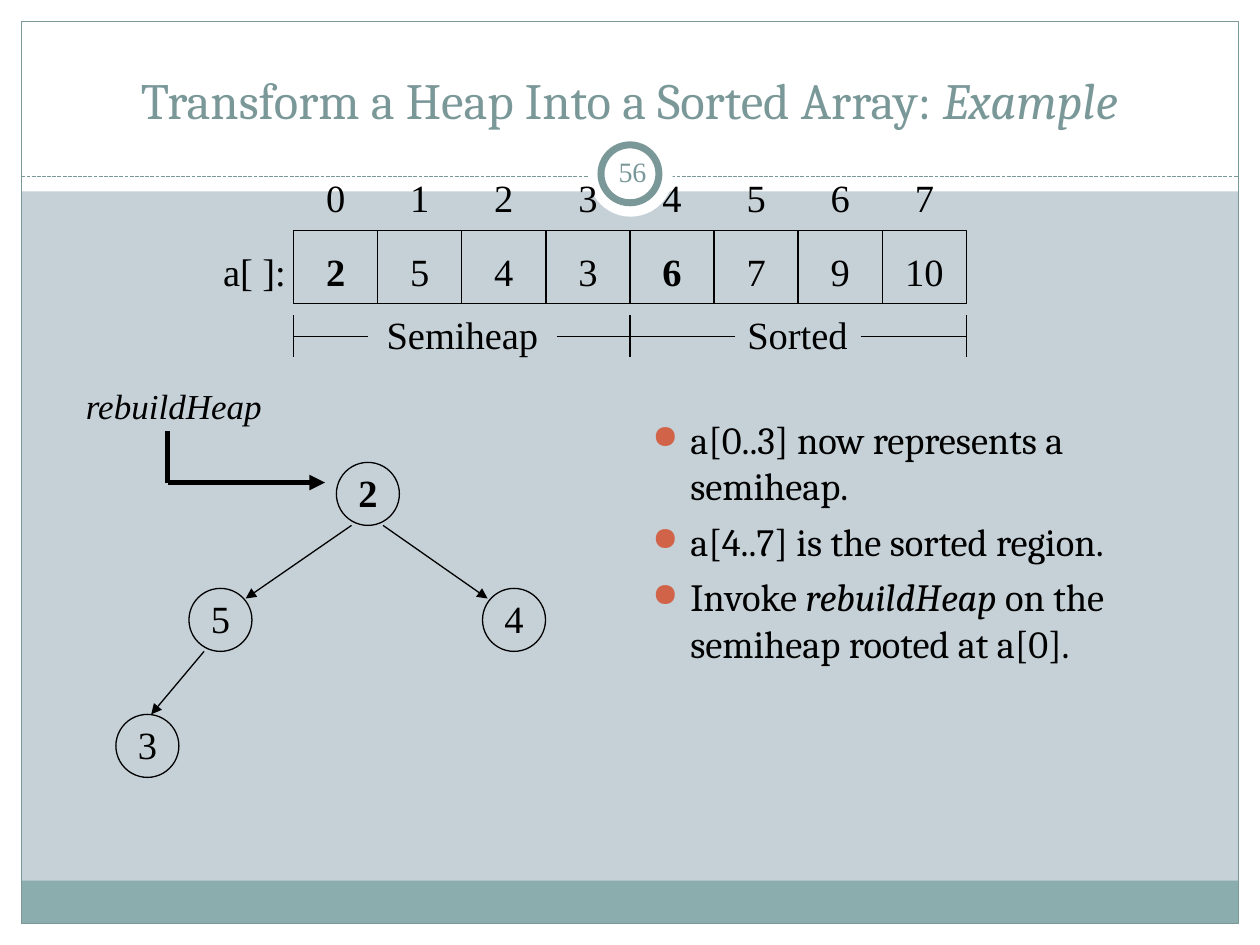
import pptx
import pptx.dml.color
import pptx.enum.dml
import pptx.enum.shapes
import pptx.enum.text
import pptx.oxml.ns
import pptx.util
from lxml import etree
from pptx.util import Inches

RGBColor = pptx.dml.color.RGBColor
SHAPE = pptx.enum.shapes.MSO_SHAPE
ALIGN = pptx.enum.text.PP_ALIGN
ANCHOR = pptx.enum.text.MSO_ANCHOR
AUTO_SIZE = pptx.enum.text.MSO_AUTO_SIZE

BLACK = RGBColor(0x00, 0x00, 0x00)
WHITE = RGBColor(0xFF, 0xFF, 0xFF)
SLATE = RGBColor(0x7B, 0x98, 0x99)
TEAL = RGBColor(0x8C, 0xAD, 0xAE)
PALE = RGBColor(0xC5, 0xD1, 0xD7)
BULLET_RED = RGBColor(0xD1, 0x63, 0x49)
HEADING_FONT = "Cambria"
DIAGRAM_FONT = "Times New Roman"


def add_child(parent, tag, **attributes):
    """Append a DrawingML element and return it."""
    return etree.SubElement(parent, pptx.oxml.ns.qn(tag), attributes)


def add_span(para, text, size, font=DIAGRAM_FONT, color=BLACK, bold=False, italic=False):
    """Add one formatted run to a paragraph."""
    span = para.add_run()
    span.text = text
    span.font.size = pptx.util.Pt(size)
    span.font.name = font
    span.font.color.rgb = color
    span.font.bold = bold
    span.font.italic = italic


def add_shape(page, kind, left, top, width, height, fill=None, line=None, weight=0.75):
    """Add a flat shape; a missing fill or line is left empty."""
    shape = page.shapes.add_shape(kind, Inches(left), Inches(top), Inches(width), Inches(height))
    shape.shadow.inherit = False
    if fill is None:
        shape.fill.background()
    else:
        shape.fill.solid()
        shape.fill.fore_color.rgb = fill
    if line is None:
        shape.line.fill.background()
    else:
        shape.line.color.rgb = line
        shape.line.width = pptx.util.Pt(weight)


def add_line(page, start, end, color=BLACK, weight=0.75, arrow=False, dash=None):
    """Add a straight line, with an arrowhead at its end if asked."""
    line = page.shapes.add_connector(
        pptx.enum.shapes.MSO_CONNECTOR.STRAIGHT, *map(Inches, start), *map(Inches, end))
    line.line.color.rgb = color
    line.line.width = pptx.util.Pt(weight)
    if dash is not None:
        line.line.dash_style = dash
    if arrow:
        add_child(line.line._get_or_add_ln(), "a:tailEnd", type="triangle")
    add_child(line._element.spPr, "a:effectLst")


def add_label(page, text, center, top, width, height=0.47, size=22, anchor=ANCHOR.MIDDLE,
              color=BLACK, bold=False, italic=False):
    """Add a one-line label centred on a horizontal position."""
    box = page.shapes.add_textbox(
        Inches(center - width / 2), Inches(top), Inches(width), Inches(height))
    box.text_frame.word_wrap = False
    box.text_frame.auto_size = AUTO_SIZE.SHAPE_TO_FIT_TEXT
    box.text_frame.vertical_anchor = anchor
    para = box.text_frame.paragraphs[0]
    para.alignment = ALIGN.CENTER
    add_span(para, text, size, color=color, bold=bold, italic=italic)


def draw_frame(page, width, height):
    """Draw the margins, bottom band, border, divider and number ring."""
    margin = 0.17
    inner_width = width - 2 * margin
    page.background.fill.solid()
    page.background.fill.fore_color.rgb = PALE
    for box in ((0, height - margin, width, margin), (0, 0, width, 1.52),
                (0, 0, margin, height), (width - margin, 0, margin, height)):
        add_shape(page, SHAPE.RECTANGLE, *box, fill=WHITE)
    add_shape(page, SHAPE.RECTANGLE, margin, 6.99, inner_width, 0.34, fill=TEAL)
    add_shape(page, SHAPE.RECTANGLE, margin, margin, inner_width, height - 2 * margin, line=SLATE)
    add_line(page, (margin, 1.4), (width - margin, 1.4), SLATE,
             dash=pptx.enum.dml.MSO_LINE.SQUARE_DOT)
    add_shape(page, SHAPE.OVAL, 4.67, 1.05, 0.67, 0.67, fill=WHITE)
    add_shape(page, SHAPE.OVAL, 4.77, 1.15, 0.46, 0.46, fill=WHITE, line=SLATE, weight=4)
    add_label(page, "56", 5.02, 1.12, 0.5, 0.48, size=16, color=SLATE)


def write_title(page, left, top, width, height):
    """Place the title placeholder in front of the frame and fill it."""
    title = page.shapes.title
    title.element.getparent().append(title.element)
    title.left, title.top, title.width, title.height = map(Inches, (left, top, width, height))
    title.text_frame.vertical_anchor = ANCHOR.BOTTOM
    title.text_frame.auto_size = AUTO_SIZE.NONE
    para = title.text_frame.paragraphs[0]
    para.alignment = ALIGN.CENTER
    add_span(para, "Transform a Heap Into a Sorted Array: ", 29, HEADING_FONT, SLATE)
    add_span(para, "Example", 29, HEADING_FONT, SLATE, italic=True)


def write_bullets(page, left, top, width, height):
    """Write the explanatory bullet list."""
    items = (
        (("a[0..3] now represents a semiheap.", False),),
        (("a[4..7] is the sorted region.", False),),
        (("Invoke ", False), ("rebuildHeap", True), (" on the semiheap rooted at a[0].", False)),
    )
    box = page.shapes.add_textbox(Inches(left), Inches(top), Inches(width), Inches(height))
    frame = box.text_frame
    frame.word_wrap = True
    for index, item in enumerate(items):
        para = frame.add_paragraph() if index else frame.paragraphs[0]
        para.space_before = pptx.util.Pt(5.5)
        properties = para._p.get_or_add_pPr()
        properties.set("marL", str(Inches(0.3)))
        properties.set("indent", str(-Inches(0.3)))
        add_child(add_child(properties, "a:buClr"), "a:srgbClr", val=str(BULLET_RED))
        add_child(properties, "a:buSzPct", val="85000")
        add_child(properties, "a:buChar", char="●")
        for text, italic in item:
            add_span(para, text, 22, HEADING_FONT, italic=italic)


def draw_tree(page, left, top):
    """Draw the semiheap as a tree with arrows from parent to child."""
    size = 0.5
    nodes = (("3", 0, 2), ("5", 0.58, 1), ("4", 2.91, 1), ("2", 1.75, 0))
    for text, across, level in nodes:
        node_left, node_top = left + across, top + level
        add_shape(page, SHAPE.OVAL, node_left, node_top, size, size, line=BLACK)
        add_label(page, text, node_left + size / 2, node_top, 0.35, bold=level == 0)
    for x1, y1, x2, y2 in ((0.7, 1.5, 0.28, 2), (1.87, 0.5, 1.03, 1.08), (2.12, 0.5, 2.95, 1.08)):
        add_line(page, (left + x1, top + y1), (left + x2, top + y2), arrow=True)


def draw_array(page, left, top, width, height):
    """Draw the indexed array and the spans of its two regions."""
    values = (2, 5, 4, 3, 6, 7, 9, 10)
    split = 4
    cell = width / len(values)
    for index, value in enumerate(values):
        cell_left = left + index * cell
        center = cell_left + cell / 2
        add_shape(page, SHAPE.RECTANGLE, cell_left, top, cell, height, line=BLACK)
        add_label(page, str(value), center, top + 0.09, 0.54 if value > 9 else 0.35,
                  bold=index in (0, split))
        add_label(page, str(index), center, top - 0.5, 0.35, anchor=ANCHOR.TOP)
    add_label(page, "a[ ]:", left - 0.31, top + 0.09, 0.72)
    add_label(page, "Semiheap", left + 1.34, top + 0.59, 1.42)
    add_label(page, "Sorted", left + 4, top + 0.59, 1.04)
    for x in (left, left + split * cell, left + width):
        add_line(page, (x, top + 0.67), (x, top + 1))
    for start, end in ((0, 0.59), (2.09, 3.5), (4.5, width)):
        add_line(page, (left + start, top + 0.84), (left + end, top + 0.84))


def draw_call(page, left, top):
    """Draw the rebuildHeap label and its bent arrow to the root."""
    add_label(page, "rebuildHeap", left + 0.8, top, 1.62, 0.44, size=20, italic=True)
    corner = (left + 0.75, top + 0.83)
    add_line(page, (left + 0.75, top + 0.42), corner, weight=3)
    add_line(page, corner, (left + 2, top + 0.83), weight=3, arrow=True)


def main():
    """Build the slide and save the deck."""
    deck = pptx.Presentation()
    deck.slide_width, deck.slide_height = Inches(10), Inches(7.5)
    page = deck.slides.add_slide(deck.slide_layouts.get_by_name("Title Only"))
    draw_frame(page, 10, 7.5)
    write_title(page, 0.58, 0.5, 8.83, 0.58)
    write_bullets(page, 5.08, 3.25, 4.25, 3.67)
    draw_tree(page, 0.92, 3.67)
    draw_array(page, 2.33, 1.83, 5.34, 0.58)
    draw_call(page, 0.58, 3)
    deck.save("out.pptx")


if __name__ == "__main__":
    main()
